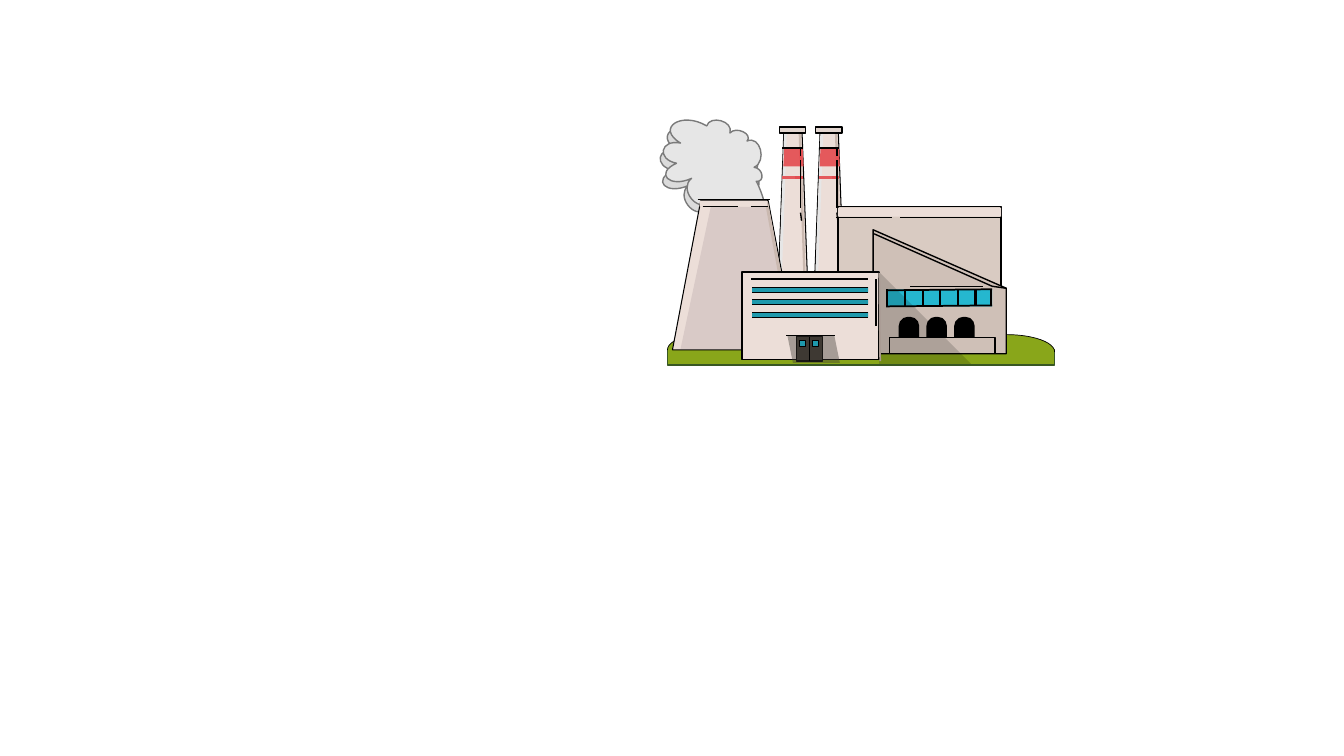
import pptx
import pptx.util
import pptx.dml.color
import pptx.enum.shapes
import pptx.oxml.ns

KIND = pptx.enum.shapes.MSO_SHAPE
TINT = {
    "black": "000000", "cream": "ECDED8", "cap": "E1D4CE", "shade": "CAB9B0",
    "glint": "E6E6E6", "red": "E4595C", "edge": "E35154", "dark red": "E24C50",
    "smoke": "DBDBDB", "steam": "E6E6E6", "grey": "7A7A7A", "grass": "89A61A",
    "moss": "385723", "tower": "D9CAC7", "hall": "D9CBC2", "wall": "CFC0B7",
    "door": "3E3933", "teal": "1F99AC", "glass": "25B7CF",
}
RGB = {name: pptx.dml.color.RGBColor.from_string(code) for name, code in TINT.items()}
TAG = {name: pptx.oxml.ns.qn("a:" + name)
       for name in ("xfrm", "solidFill", "alpha", "effectLst", "lnTo", "cubicBezTo")}
UNIT = pptx.util.Inches(0.01)  # freeform points are hundredths of an inch

deck = pptx.Presentation()
deck.slide_width, deck.slide_height = pptx.util.Inches(13.33), pptx.util.Inches(7.5)
slide = deck.slides.add_slide(deck.slide_layouts[6])
plant = slide.shapes.add_group_shape().shapes
outlines = []  # freeforms as (shape, fill, ink), painted at the end


def box(kind, x, y, w, h, fill, pen=0, ink="black", adj=(), flip=None, turn=0, alpha=None):
    """Add a preset shape; pen is the outline in points, alpha the opacity in percent."""
    shape = plant.add_shape(kind, *map(pptx.util.Inches, (x, y, w, h)))
    shape.shadow.inherit = False
    shape.rotation = turn
    shape.fill.solid()
    shape.fill.fore_color.rgb = RGB[fill]
    if pen:
        shape.line.color.rgb = RGB[ink]
        shape.line.width = pptx.util.Pt(pen)
    else:
        shape.line.fill.background()
    for i, size in enumerate(adj):
        shape.adjustments[i] = size
    props = shape._element.spPr
    if flip:
        props.find(TAG["xfrm"]).set(flip, "1")
    if alpha:
        color = props.find(TAG["solidFill"])[0]
        color.append(color.makeelement(TAG["alpha"], {"val": str(alpha * 1000)}))
    return shape


def line(x1, y1, x2, y2, pen=1, ink="black"):
    """Add a straight line without a shadow."""
    link = plant.add_connector(pptx.enum.shapes.MSO_CONNECTOR.STRAIGHT,
                               *map(pptx.util.Inches, (x1, y1, x2, y2)))
    link.line.color.rgb = RGB[ink]
    link.line.width = pptx.util.Pt(pen)
    props = link._element.spPr
    props.append(props.makeelement(TAG["effectLst"], {}))
    return link


# Chimneys, right one first; every part is placed from the left foot
for foot in (8.06, 7.7):
    rim, lip = foot + 0.06, foot + 0.24  # left and right of the striped part
    box(KIND.TRAPEZOID, foot, 1.29, 0.33, 2.04, "cream", 0.75, adj=[0.228])
    box(KIND.PARALLELOGRAM, foot + 0.22, 1.29, 0.09, 2.04, "shade", adj=[0.743], flip="flipV")
    box(KIND.RECTANGLE, foot + 0.03, 1.26, 0.26, 0.06, "cap", 1)
    line(foot + 0.09, 1.33, foot + 0.02, 3.33, 2, "glint")
    line(lip, 2.11, lip + 0.01, 2.19)
    line(rim, 1.76, rim + 0.2, 1.76, 2.5, "red")
    box(KIND.TRAPEZOID, foot + 0.07, 1.48, 0.2, 0.17, "red", adj=[0.047])
    line(lip, 1.48, lip + 0.01, 1.64, 2.25, "edge")
    line(lip, 1.47, lip, 1.55)
    line(rim, 1.47, rim + 0.2, 1.47)
    line(foot + 0.19, 1.76, foot + 0.25, 1.76, 2.5, "dark red")
    line(lip, 1.59, lip, 2.06)

# Steam: clockwise lobes, each as (start x, start y, swell, lean).
# Both Bezier handles of a lobe move out by swell and along by lean, in chord lengths.
lobes = [
    (747, 187, 0.07, 0), (754, 205, 0.55, 0), (746, 214, 0.6, 0), (738, 223, 0.2, 0),
    (738, 233, 0.2, 0), (730, 230, 0.6, 0), (726, 238, 0.1, 0), (717, 229, 0.1, 0),
    (707, 220, 0.1, 0), (701, 208, 0.55, 0), (683, 184, 1.05, 0.4), (668, 169, 1, 0),
    (672, 149, 0.84, -0.4), (698, 132, 0.5, 0), (721, 139, 0.46, 0.15),
    (738, 147, 0.52, -0.1), (745, 173, 0.6, 0.15),
]
for right, down, fill in ((0, 0, "smoke"), (3, -7, "steam")):
    spots = []
    for (x1, y1, swell, lean), (x2, y2, *rest) in zip(lobes, lobes[1:] + lobes[:1]):
        wide, tall = x2 - x1, y2 - y1
        out = swell * tall + lean * wide + right
        up = -swell * wide + lean * tall + down
        spots += [(x1 + out, y1 + up), (x2 + out, y2 + up), (x2 + right, y2 + down)]
    path = plant.build_freeform(*spots[-1], scale=UNIT)
    path.add_line_segments(spots, close=True)
    cloud = path.convert_to_shape()
    outlines.append((cloud, fill, "grey"))
    steps = list(cloud._element.iter(TAG["lnTo"]))[:len(spots)]
    for i in range(0, len(steps), 3):
        curve = steps[i].makeelement(TAG["cubicBezTo"], {})
        steps[i].addprevious(curve)
        for step in steps[i:i + 3]:
            curve.append(step[0])
            step.getparent().remove(step)

# Lawn
box(KIND.RECTANGLE, 6.62, 3.47, 3.84, 0.15, "grass", 1, "moss")
for x, y, flip in ((6.62, 3.3, "flipH"), (9.51, 3.32, None)):
    box(KIND.ARC, x, y, 0.95, 0.34, "grass", 0.5, adj=[162, 0.311], flip=flip)

# Cooling tower
box(KIND.TRAPEZOID, 6.67, 1.99, 1.23, 1.48, "cream", 0.75, adj=[0.228])
box(KIND.TRAPEZOID, 6.75, 2.05, 1.15, 1.41, "tower", adj=[0.261])
box(KIND.PARALLELOGRAM, 7.69, 1.99, 0.09, 1.48, "shade", adj=[0.656], flip="flipV", turn=351.9)
box(KIND.RECTANGLE, 6.94, 1.99, 0.67, 0.06, "cream")
for x1, x2, y in ((6.97, 7.32, 2.05), (7.45, 7.62, 2.05), (6.92, 7.64, 1.98)):
    line(x1, y, x2, y)

# Rear hall
box(KIND.RECTANGLE, 8.31, 2.05, 1.62, 1.42, "hall", 1)
box(KIND.RECTANGLE, 8.31, 2.06, 1.62, 0.09, "cream")
for x1, x2, y in ((8.29, 8.85, 2.16), (8.93, 9.93, 2.16), (8.29, 9.93, 2.05)):
    line(x1, y, x2, y)

# Side wing with sloping roof
path = plant.build_freeform(866, 228, scale=UNIT)
path.add_line_segments([(998, 286), (998, 351), (866, 351)], close=True)
outlines.append((path.convert_to_shape(), "wall", "black"))

# Front office
box(KIND.RECTANGLE, 7.36, 2.7, 1.36, 0.87, "cream", 1)
line(7.45, 2.77, 8.61, 2.77)
line(8.69, 2.77, 8.69, 3.23)
door = box(KIND.RECTANGLE, 7.9, 3.34, 0.26, 0.24, "door", 1)
box(KIND.PARALLELOGRAM, 7.81, 3.33, 0.52, 0.27, "door", adj=[0.202], flip="flipH", alpha=40)
line(7.8, 3.33, 8.28, 3.33)
box(KIND.PARALLELOGRAM, 8.67, 2.71, 0.11, 0.87, "shade", adj=[0.841], flip="flipV", turn=5.5)
split = line(8.03, 3.34, 8.03, 3.58)
split.begin_connect(door, 0)
split.end_connect(door, 2)
for x in (7.93, 8.06):
    box(KIND.RECTANGLE, x, 3.38, 0.06, 0.06, "teal", 0.5)
for top in (2.85, 2.97, 3.1):
    box(KIND.RECTANGLE, 7.46, top, 1.15, 0.05, "teal")
    for y in (top, top + 0.05):
        line(7.46, y, 8.61, y)

# Wing windows: six panes, the middle bar joined to the band
panes = 6
band = box(KIND.RECTANGLE, 8.8, 2.87, 1.04, 0.17, "glass")
line(9.03, 2.84, 9.75, 2.84)
for y in (2.88, 3.04):
    line(8.79, y, 9.84, y - 0.01, 1.25)
for i in range(panes + 1):
    x = min(8.8 + 0.175 * i, 9.83)
    bar = line(x, 2.87, x, 3.04, 1.5)
    if i == panes // 2:
        bar.begin_connect(band, 0)
        bar.end_connect(band, 2)

# Roof trim
line(8.67, 2.32, 9.84, 2.84)
line(9.84, 2.84, 9.98, 2.86)

# Arches, plinth and shadow
for i in range(3):
    box(KIND.ROUND_2_SAME_RECTANGLE, 8.92 + 0.275 * i, 3.15, 0.19, 0.33, "black", 1, adj=[0.45, 0])
box(KIND.RECTANGLE, 8.82, 3.35, 1.05, 0.16, "wall", 1)
box(KIND.RIGHT_TRIANGLE, 8.72, 2.7, 0.91, 0.91, "black", alpha=16)

for shape, fill, ink in outlines:
    shape.shadow.inherit = False
    shape.fill.solid()
    shape.fill.fore_color.rgb = RGB[fill]
    shape.line.color.rgb = RGB[ink]
    shape.line.width = pptx.util.Pt(1)

deck.save("out.pptx")
